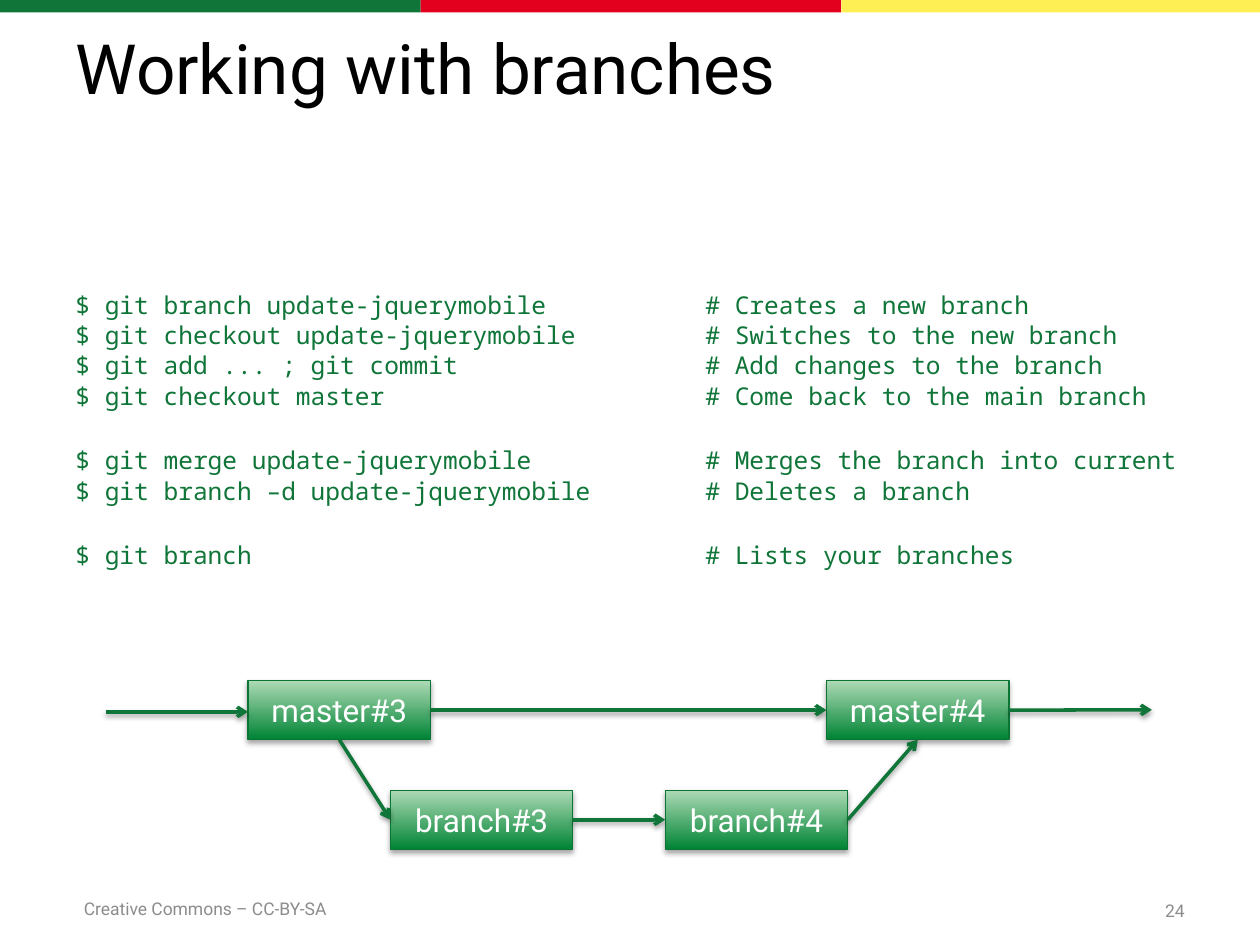
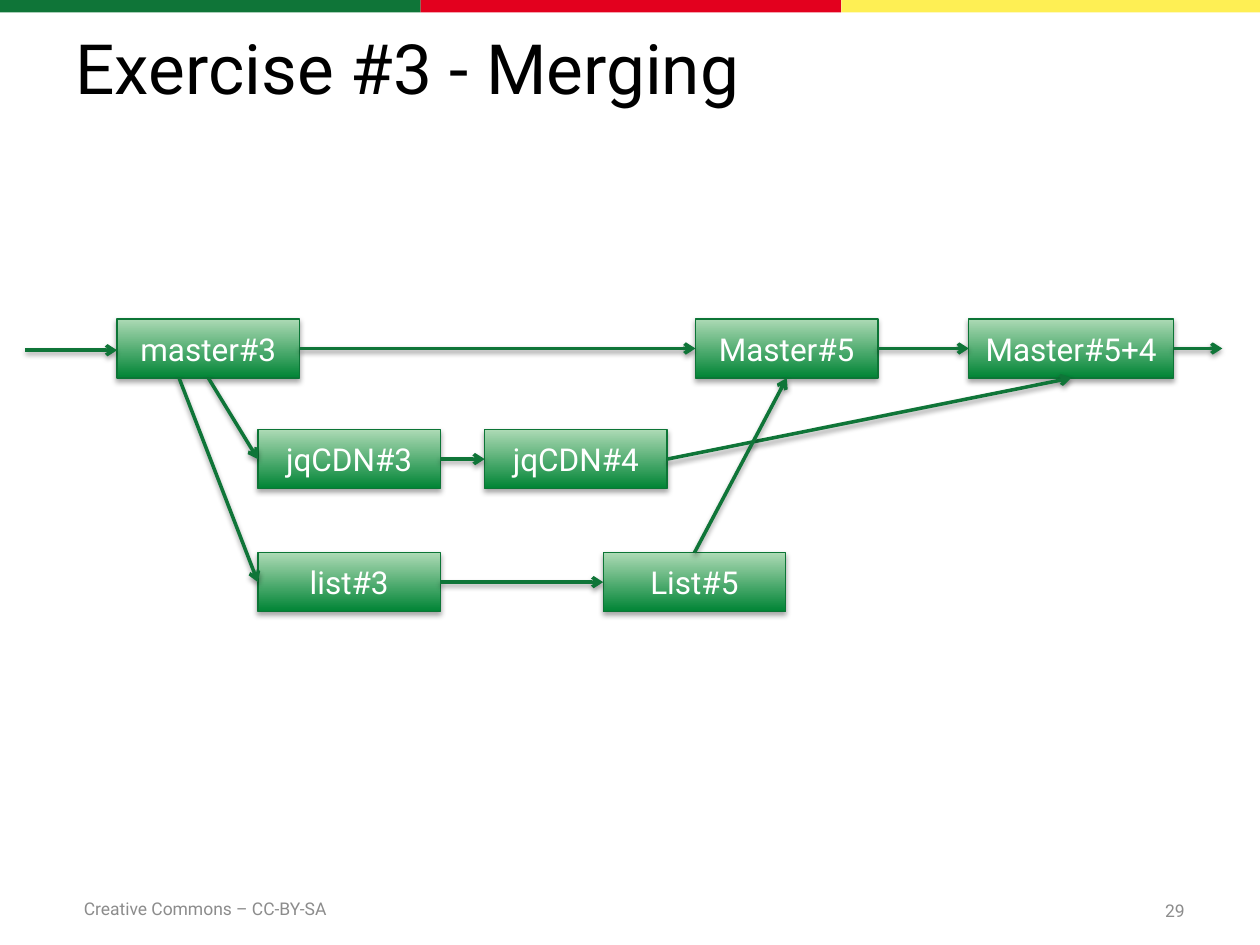
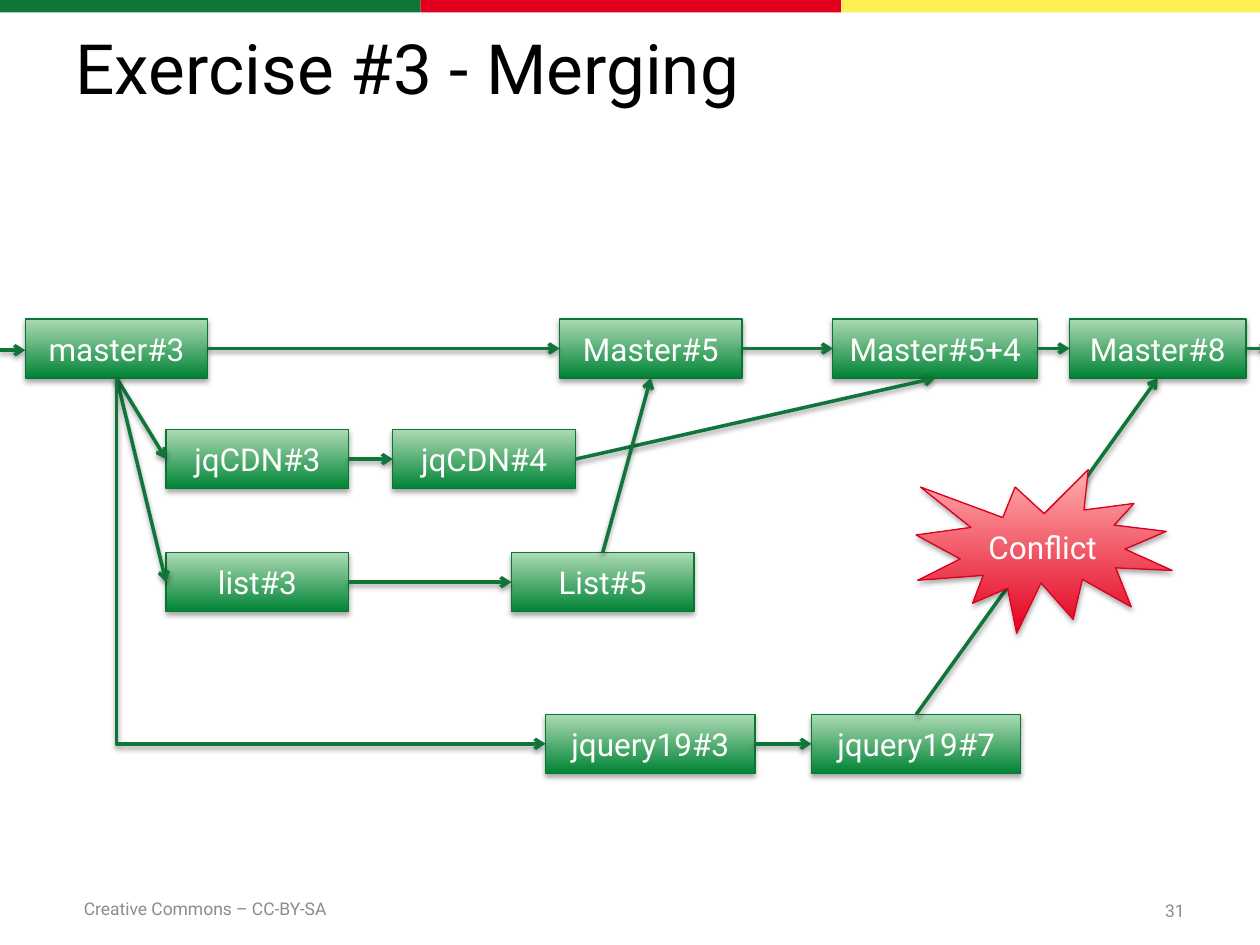
from dataclasses import dataclass

from lxml.etree import SubElement
from pptx import Presentation
from pptx.dml.color import RGBColor
from pptx.enum.shapes import MSO_CONNECTOR, MSO_SHAPE
from pptx.enum.text import MSO_ANCHOR, MSO_AUTO_SIZE, PP_ALIGN
from pptx.oxml.ns import qn
from pptx.util import Cm, Pt

# Shared style
GREEN, RED, YELLOW = "0F7538", "E3001E", "FEEF54"
BLACK, GREY, WHITE = "000000", "8C8C8C", "FFFFFF"
SANS, MONO = "Roboto", "Noto Sans Mono"
BAND = 8.48
FOOT = "Creative Commons – CC-BY-SA"
WIDE, HIGH = 3.68, 1.19  # usual commit box

# Connection sites of a rectangle
TOP, LEFT, BASE, RIGHT = range(4)


@dataclass(frozen=True)
class Look:
    low: str
    high: str
    edge: str


LEAF = Look("008435", "ADDAB5", "0C7536")
FIRE = Look(RED, "FFAFB0", "DE001D")


@dataclass(frozen=True)
class Box:
    text: str
    x: float
    y: float
    w: float = WIDE
    h: float = HIGH
    look: Look = LEAF
    form: MSO_SHAPE = MSO_SHAPE.RECTANGLE


@dataclass(frozen=True)
class Link:
    """Each end is (box text, site) or a point (x, y)."""
    start: tuple
    end: tuple
    bent: bool = False


@dataclass(frozen=True)
class Page:
    title: str
    num: str
    boxes: list[Box]
    links: list[Link]
    top: tuple[Box, ...] = ()
    code: tuple = ()


def tint(code: str) -> RGBColor:
    return RGBColor.from_string(code)


def flow(*names: str) -> list[Link]:
    """Links from box to box, right side to left side."""
    return [Link((a, RIGHT), (b, LEFT)) for a, b in zip(names, names[1:])]


def add_run(para, text: str, size: float, color: str, face: str = SANS) -> None:
    run = para.add_run()
    run.text = text
    run.font.size = Pt(size)
    run.font.name = face
    run.font.color.rgb = tint(color)


def add_text(slide, area: tuple, text: str) -> None:
    frame = slide.shapes.add_textbox(*map(Cm, area)).text_frame
    frame.word_wrap = True
    frame.vertical_anchor = MSO_ANCHOR.MIDDLE
    para = frame.paragraphs[0]
    para.alignment = PP_ALIGN.RIGHT
    add_run(para, text, 10, GREY)


def add_shade(shape, alpha: int, dist: float) -> None:
    effect = SubElement(shape._element.spPr, qn("a:effectLst"))
    shade = SubElement(effect, qn("a:outerShdw"), blurRad=str(Pt(3.1)),
                       dist=str(Pt(dist)), dir="5400000", rotWithShape="0")
    color = SubElement(shade, qn("a:srgbClr"), val=BLACK)
    SubElement(color, qn("a:alpha"), val=str(alpha * 1000))


def add_box(slide, box: Box):
    shape = slide.shapes.add_shape(
        box.form, Cm(box.x), Cm(box.y), Cm(box.w), Cm(box.h))
    shape.fill.gradient()
    shape.fill.gradient_angle = 90
    for stop, color in zip(shape.fill.gradient_stops,
                           (box.look.low, box.look.high)):
        stop.color.rgb = tint(color)
    shape.line.color.rgb = tint(box.look.edge)
    shape.line.width = Pt(0.75)
    add_shade(shape, 35, 1.8)
    frame = shape.text_frame
    frame.word_wrap = False
    frame.vertical_anchor = MSO_ANCHOR.MIDDLE
    para = frame.paragraphs[0]
    para.alignment = PP_ALIGN.CENTER
    add_run(para, box.text, 18, WHITE)
    return shape


def add_link(slide, link: Link, made: dict) -> None:
    # The bent form leaves its box sideways, so it is drawn from the end back
    ends = (link.end, link.start) if link.bent else (link.start, link.end)
    spots = [(0, 0) if end[0] in made else end for end in ends]
    line = slide.shapes.add_connector(
        MSO_CONNECTOR.STRAIGHT, *(Cm(v) for spot in spots for v in spot))
    for end, join in zip(ends, (line.begin_connect, line.end_connect)):
        if end[0] in made:
            join(made[end[0]], end[1])
    line.line.color.rgb = tint(GREEN)
    line.line.width = Pt(2)
    props = line._element.spPr
    if link.bent:
        props.find(qn("a:prstGeom")).set("prst", "bentConnector2")
    SubElement(props.find(qn("a:ln")),
               qn("a:headEnd" if link.bent else "a:tailEnd"), type="arrow")
    add_shade(line, 38, 1.6)


def add_code(slide, groups: tuple) -> None:
    frame = slide.shapes.add_textbox(
        Cm(1.27), Cm(4.45), Cm(22.86), Cm(8.43)).text_frame
    frame.word_wrap = True
    frame.vertical_anchor = MSO_ANCHOR.MIDDLE
    para = frame.paragraphs[0]
    for g, group in enumerate(groups):
        for i, (order, note) in enumerate(group):
            if g or i:
                para = frame.add_paragraph()
            para.space_before = Pt(20.15 if g and not i else 0.55)
            tabs = SubElement(para._p.get_or_add_pPr(), qn("a:tabLst"))
            SubElement(tabs, qn("a:tab"), pos=str(Cm(12.7)), algn="l")
            add_run(para, f"$ {order}\t", 14, GREEN, MONO)
            add_run(para, f"# {note}", 14, GREEN, MONO)


def add_frame(slide, page: Page) -> None:
    # Bands
    for i, color in enumerate((GREEN, RED, YELLOW)):
        band = slide.shapes.add_shape(
            MSO_SHAPE.RECTANGLE, Cm(BAND * i), 0, Cm(BAND), Cm(0.25))
        band.fill.solid()
        band.fill.fore_color.rgb = tint(color)
        band.line.fill.background()
        band.shadow.inherit = False
    # Title
    title = slide.shapes.title
    title.left, title.top, title.width, title.height = map(
        Cm, (1.27, 0.48, 22.86, 1.75))
    frame = title.text_frame
    frame.auto_size = MSO_AUTO_SIZE.NONE
    frame.vertical_anchor = MSO_ANCHOR.MIDDLE
    para = frame.paragraphs[0]
    para.alignment = PP_ALIGN.LEFT
    add_run(para, page.title, 39.6, BLACK)
    # Footer
    add_text(slide, (1.27, 17.98, 5.56, 0.69), FOOT)
    add_text(slide, (18.21, 18.06, 5.92, 0.61), page.num)


def add_page(deck, page: Page) -> None:
    slide = deck.slides.add_slide(deck.slide_layouts[5])
    add_frame(slide, page)
    if page.code:
        add_code(slide, page.code)
    made = {box.text: add_box(slide, box) for box in page.boxes}
    for link in page.links:
        add_link(slide, link, made)
    for box in page.top:
        add_box(slide, box)


# Rows of the merge diagrams
MAIN, CDN, LIST, JQ = 6.43, 8.66, 11.14, 14.4
MID = MAIN + HIGH / 2

# Links found in both merge diagrams
MERGE = [
    *flow("master#3", "Master#5", "Master#5+4"),
    *flow("jqCDN#3", "jqCDN#4"),
    *flow("list#3", "List#5"),
    Link(("master#3", BASE), ("jqCDN#3", LEFT)),
    Link(("jqCDN#4", RIGHT), ("Master#5+4", BASE)),
    Link(("List#5", TOP), ("Master#5", BASE)),
]


def merge_boxes(x: float, five: float, last: float) -> list[Box]:
    """Shared boxes; x is the left edge of the first one."""
    return [
        Box("master#3", x, MAIN),
        Box("jqCDN#3", x + 2.84, CDN),
        Box("jqCDN#4", x + 7.41, CDN),
        Box("list#3", x + 2.84, LIST),
        Box("List#5", x + 9.8, LIST),
        Box("Master#5", five, MAIN),
        Box("Master#5+4", last, MAIN, 4.13),
    ]


PAGES = [
    Page(
        "Working with branches", "24",
        [Box("master#3", 5, 13.72), Box("branch#3", 7.87, 15.93),
         Box("branch#4", 13.41, 15.93), Box("master#4", 16.66, 13.72)],
        [Link((2.13, 14.35), (5, 14.35)),
         *flow("master#3", "master#4"),
         *flow("branch#3", "branch#4"),
         Link(("master#3", BASE), ("branch#3", LEFT)),
         Link(("branch#4", RIGHT), ("master#4", BASE)),
         Link(("master#4", RIGHT), (23.22, 14.31))],
        code=(
            (("git branch update-jquerymobile", "Creates a new branch"),
             ("git checkout update-jquerymobile", "Switches to the new branch"),
             ("git add ... ; git commit", "Add changes to the branch"),
             ("git checkout master", "Come back to the main branch")),
            (("git merge update-jquerymobile", "Merges the branch into current"),
             ("git branch –d update-jquerymobile", "Deletes a branch")),
            (("git branch", "Lists your branches"),),
        ),
    ),
    Page(
        "Exercise #3 - Merging", "29",
        merge_boxes(2.36, 14.02, 19.53),
        [*MERGE,
         Link((0.51, 7.06), (2.36, 7.06)),
         Link((3.61, 7.62), ("list#3", LEFT)),
         Link(("Master#5+4", RIGHT), (24.64, MID))],
    ),
    Page(
        "Exercise #3 - Merging", "31",
        [*merge_boxes(0.51, 11.28, 16.79),
         Box("Master#8", 21.56, MAIN, 3.56),
         Box("jquery19#3", 11, JQ, 4.22),
         Box("jquery19#7", 16.36, JQ, 4.22)],
        [*MERGE,
         *flow("Master#5+4", "Master#8"),
         *flow("jquery19#3", "jquery19#7"),
         Link((0, 7.06), (0.51, 7.06)),
         Link(("master#3", BASE), ("list#3", LEFT)),
         Link(("master#3", BASE), ("jquery19#3", LEFT), bent=True),
         Link(("jquery19#7", TOP), ("Master#8", BASE)),
         Link(("Master#8", RIGHT), (25.63, MID))],
        top=(Box("Conflict", 18.47, 9.47, 5.16, 3.3, FIRE,
                 MSO_SHAPE.EXPLOSION1),),
    ),
]


def main() -> None:
    deck = Presentation()
    deck.slide_width, deck.slide_height = Cm(25.4), Cm(19.05)
    for page in PAGES:
        add_page(deck, page)
    deck.save("out.pptx")


if __name__ == "__main__":
    main()
